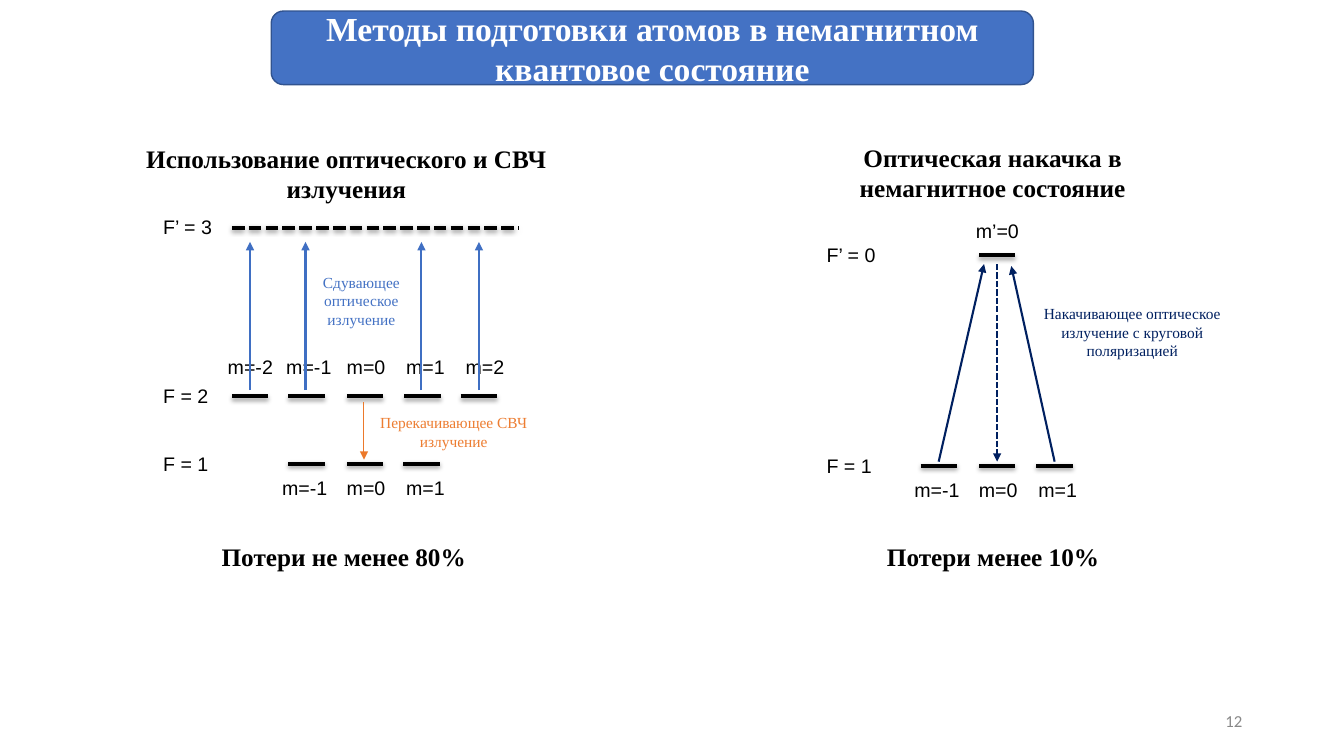
from dataclasses import dataclass

from lxml.etree import SubElement
from pptx import Presentation
from pptx.dml.color import RGBColor
from pptx.enum.dml import MSO_LINE
from pptx.enum.shapes import MSO_CONNECTOR, MSO_SHAPE
from pptx.enum.text import MSO_ANCHOR, MSO_AUTO_SIZE, PP_ALIGN
from pptx.oxml.ns import qn
from pptx.shapes.connector import Connector
from pptx.slide import Slide
from pptx.text.text import TextFrame
from pptx.util import Emu, Pt

PX = 9144  # 100 px to the inch
LEVEL_WIDTH = 36
LABEL_HEIGHT = 34

BLACK = RGBColor(0, 0, 0)
WHITE = RGBColor(0xFF, 0xFF, 0xFF)
GREY = RGBColor(0x88, 0x88, 0x88)
BLUE = RGBColor(0x44, 0x72, 0xC4)
BANNER_EDGE = RGBColor(0x31, 0x53, 0x8F)
BLOW_AWAY = RGBColor(0x3F, 0x6F, 0xC3)
ORANGE = RGBColor(0xED, 0x7D, 0x31)
MICROWAVE = RGBColor(0xEC, 0x79, 0x2B)
NAVY = RGBColor(0x00, 0x20, 0x60)

SERIF = "Times New Roman"
SANS = "Arial"


@dataclass(frozen=True)
class Style:
    size: int
    color: RGBColor = BLACK
    font: str = SERIF
    bold: bool = False
    align: PP_ALIGN = PP_ALIGN.CENTER


@dataclass(frozen=True)
class Caption:
    text: str
    box: tuple[int, int, int, int]
    style: Style


@dataclass(frozen=True)
class Sublevel:
    text: str
    line_x: int
    label_x: int


@dataclass(frozen=True)
class Level:
    name: str
    name_x: int
    name_y: int
    line_y: int
    label_y: int
    sublevels: tuple[Sublevel, ...]


@dataclass(frozen=True)
class Transition:
    start: tuple[int, int]
    end: tuple[int, int]
    color: RGBColor
    width: float = 1.5
    dashed: bool = False


BANNER_STYLE = Style(24, WHITE, bold=True)
HEADING = Style(18, bold=True)
LABEL = Style(14, font=SANS, align=PP_ALIGN.LEFT)
PAGE_NUMBER = Style(12, GREY, "Calibri", align=PP_ALIGN.RIGHT)

LEVELS = (
    Level("F = 2", 152, 376, 393, 347, (
        Sublevel("m=-2", 230, 216), Sublevel("m=-1", 286, 274),
        Sublevel("m=0", 344, 334), Sublevel("m=1", 401, 393),
        Sublevel("m=2", 457, 452))),
    Level("F = 1", 152, 443, 460, 467, (
        Sublevel("m=-1", 286, 270), Sublevel("m=0", 344, 334),
        Sublevel("m=1", 400, 393))),
    Level("F = 1", 810, 445, 462, 469, (
        Sublevel("m=-1", 913, 897), Sublevel("m=0", 971, 961),
        Sublevel("m=1", 1028, 1020))),
    Level("F’ = 0", 810, 236, 253, 212, (Sublevel("m’=0", 971, 958),)),
)

TRANSITIONS = (
    *(Transition((x, 387), (x, 240), BLOW_AWAY) for x in (248, 303, 418, 475)),
    Transition((361, 399), (361, 456), MICROWAVE, 0.75),
    Transition((931, 458), (976, 262), NAVY),
    Transition((1046, 458), (1003, 264), NAVY),
    Transition((989, 262), (989, 458), NAVY, dashed=True),
)

CAPTIONS = (
    Caption("Использование оптического и СВЧ излучения", (116, 137, 455, 71), HEADING),
    Caption("Оптическая накачка в немагнитное состояние", (787, 136, 395, 71), HEADING),
    Caption("Потери не менее 80%", (174, 532, 334, 40), HEADING),
    Caption("Потери менее 10%", (818, 532, 334, 40), HEADING),
    Caption("Сдувающее оптическое излучение", (282, 266, 153, 66), Style(11, BLUE)),
    Caption("Перекачивающее СВЧ излучение", (339, 405, 222, 47), Style(11, ORANGE)),
    Caption("Накачивающее оптическое излучение с круговой поляризацией",
            (1012, 297, 222, 66), Style(11, NAVY)),
    Caption("F’ = 3", (152, 208, 151, LABEL_HEIGHT), LABEL),
)


def px(*lengths: int) -> list[Emu]:
    return [Emu(length * PX) for length in lengths]


def write(frame: TextFrame, text: str, style: Style) -> None:
    frame.word_wrap = True
    paragraph = frame.paragraphs[0]
    paragraph.alignment = style.align
    run = paragraph.add_run()
    run.text = text
    run.font.name = style.font
    run.font.size = Pt(style.size)
    run.font.bold = style.bold
    run.font.color.rgb = style.color


def add_caption(slide: Slide, caption: Caption) -> None:
    frame = slide.shapes.add_textbox(*px(*caption.box)).text_frame
    write(frame, caption.text, caption.style)
    frame.auto_size = MSO_AUTO_SIZE.SHAPE_TO_FIT_TEXT


def add_line(slide: Slide, start: tuple[int, int], end: tuple[int, int],
             color: RGBColor, width: float, dashed: bool = False) -> Connector:
    line = slide.shapes.add_connector(MSO_CONNECTOR.STRAIGHT, *px(*start, *end))
    line.line.color.rgb = color
    line.line.width = Pt(width)
    if dashed:
        line.line.dash_style = MSO_LINE.SQUARE_DOT
    SubElement(line._element.spPr, qn("a:effectLst"))
    return line


def add_level_line(slide: Slide, x: int, y: int, width: int, dashed: bool = False) -> None:
    """Draw an energy level: a thick black line with a soft shadow below."""
    line = add_line(slide, (x, y), (x + width, y), BLACK, 3, dashed)
    effects = line._element.spPr.find(qn("a:effectLst"))
    shadow = SubElement(effects, qn("a:outerShdw"), blurRad="40000", dist="23000",
                        dir="5400000", rotWithShape="0")
    color = SubElement(shadow, qn("a:srgbClr"), val=str(BLACK))
    SubElement(color, qn("a:alpha"), val="35000")


def add_level(slide: Slide, level: Level) -> None:
    add_caption(slide, Caption(level.name, (level.name_x, level.name_y, 74, LABEL_HEIGHT), LABEL))
    for sub in level.sublevels:
        add_level_line(slide, sub.line_x, level.line_y, LEVEL_WIDTH)
        add_caption(slide, Caption(sub.text, (sub.label_x, level.label_y, 98, LABEL_HEIGHT), LABEL))


def add_transition(slide: Slide, move: Transition) -> None:
    arrow = add_line(slide, move.start, move.end, move.color, move.width, move.dashed)
    SubElement(arrow._element.spPr.find(qn("a:ln")), qn("a:tailEnd"), type="triangle")


def add_banner(slide: Slide, text: str) -> None:
    banner = slide.shapes.add_shape(MSO_SHAPE.ROUNDED_RECTANGLE, *px(269, 11, 756, 73))
    banner.shadow.inherit = False
    banner.fill.solid()
    banner.fill.fore_color.rgb = BLUE
    banner.line.color.rgb = BANNER_EDGE
    banner.line.width = Pt(1)
    banner.text_frame.vertical_anchor = MSO_ANCHOR.MIDDLE
    write(banner.text_frame, text, BANNER_STYLE)


def add_page_number(slide: Slide, number: str) -> None:
    frame = slide.shapes.add_textbox(*px(942, 695, 300, 40)).text_frame
    frame.vertical_anchor = MSO_ANCHOR.MIDDLE
    write(frame, number, PAGE_NUMBER)


def main() -> None:
    deck = Presentation()
    deck.slide_width, deck.slide_height = px(1333, 750)
    slide = deck.slides.add_slide(deck.slide_layouts[6])
    add_banner(slide, "Методы подготовки атомов в немагнитном квантовое состояние")
    for level in LEVELS:
        add_level(slide, level)
    add_level_line(slide, 230, 226, 284, dashed=True)
    for caption in CAPTIONS:
        add_caption(slide, caption)
    for move in TRANSITIONS:
        add_transition(slide, move)
    add_page_number(slide, "12")
    deck.save("out.pptx")


if __name__ == "__main__":
    main()
